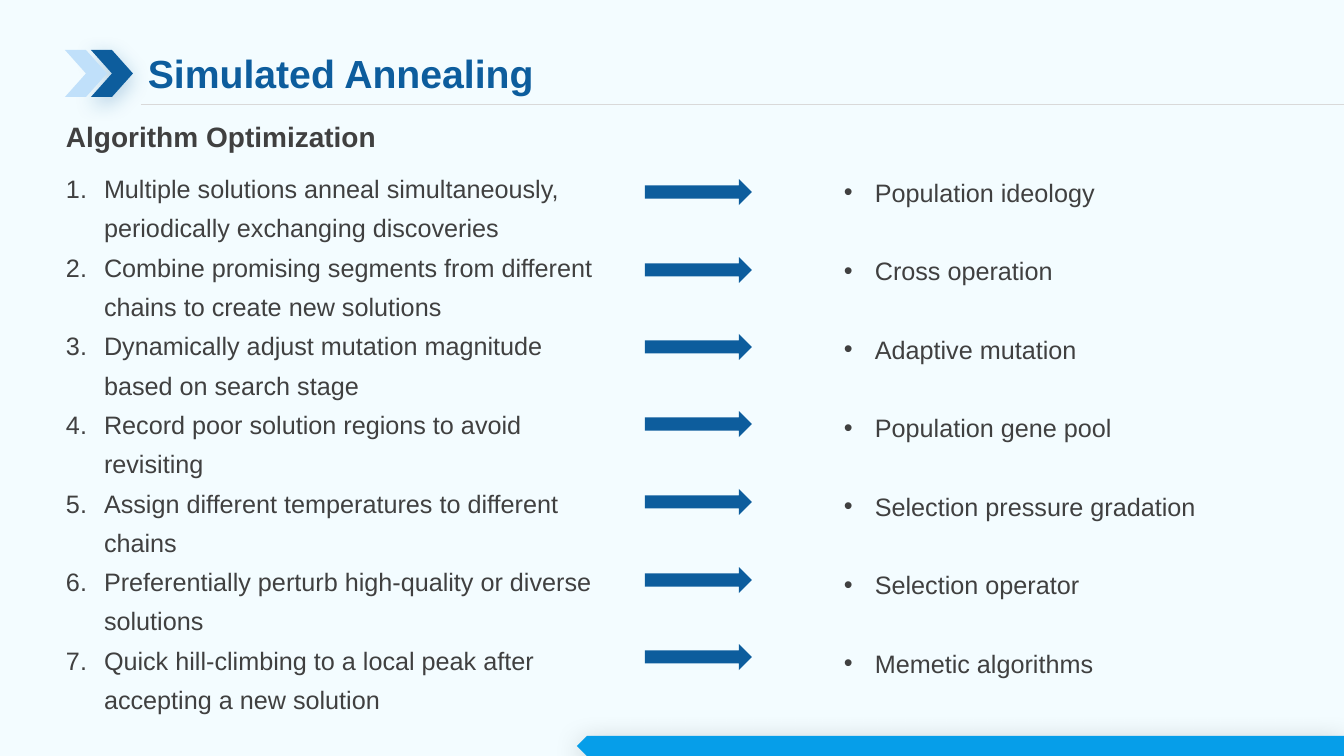
from dataclasses import dataclass

from lxml import etree
from pptx import Presentation
from pptx.dml.color import RGBColor
from pptx.enum.shapes import MSO_CONNECTOR, MSO_SHAPE
from pptx.enum.text import MSO_AUTO_SIZE
from pptx.oxml.ns import qn
from pptx.util import Pt

EMU_PER_PX = 914400 / 100.8


@dataclass(frozen=True)
class Theme:
    background: str = "F3FCFF"
    navy: str = "0D5D9D"
    pale: str = "C0E0FA"
    sky: str = "069EE9"
    rule: str = "D9D9D9"
    ink: str = "404040"
    shade: str = "000000"
    font: str = "Arial"
    title: int = 28
    heading: int = 20
    body: int = 18


THEME = Theme()

TECHNIQUES = [
    ("Multiple solutions anneal simultaneously, periodically exchanging discoveries",
     "Population ideology"),
    ("Combine promising segments from different chains to create new solutions",
     "Cross operation"),
    ("Dynamically adjust mutation magnitude based on search stage",
     "Adaptive mutation"),
    ("Record poor solution regions to avoid revisiting",
     "Population gene pool"),
    ("Assign different temperatures to different chains",
     "Selection pressure gradation"),
    ("Preferentially perturb high-quality or diverse solutions",
     "Selection operator"),
    ("Quick hill-climbing to a local peak after accepting a new solution",
     "Memetic algorithms"),
]


def px(length):
    return round(length * EMU_PER_PX)


def rgb(color):
    return RGBColor.from_string(color)


def add_shadow(shape, color, blur, distance, alpha):
    effects = shape._element.spPr.find(qn("a:effectLst"))
    shadow = etree.SubElement(effects, qn("a:outerShdw"), blurRad=str(Pt(blur)),
                              dist=str(Pt(distance)), dir="5400000",
                              algn="t", rotWithShape="0")
    tint = etree.SubElement(shadow, qn("a:srgbClr"), val=color)
    etree.SubElement(tint, qn("a:alpha"), val=str(alpha * 1000))


def add_figure(slide, kind, left, top, width, height, color, flip=False):
    figure = slide.shapes.add_shape(kind, px(left), px(top), px(width), px(height))
    figure.shadow.inherit = False
    figure.fill.solid()
    figure.fill.fore_color.rgb = rgb(color)
    figure.line.fill.background()
    if flip:
        figure._element.spPr.find(qn("a:xfrm")).set("flipH", "1")
    return figure


def add_rule(slide, left, right, top):
    rule = slide.shapes.add_connector(MSO_CONNECTOR.STRAIGHT,
                                      px(left), px(top), px(right), px(top))
    rule.line.color.rgb = rgb(THEME.rule)
    rule.line.width = Pt(0.5)
    etree.SubElement(rule._element.spPr, qn("a:effectLst"))


def add_frame(slide, left, top, width, height, wrap=True, inset=True):
    frame = slide.shapes.add_textbox(px(left), px(top), px(width), px(height)).text_frame
    frame.word_wrap = wrap
    frame.auto_size = MSO_AUTO_SIZE.SHAPE_TO_FIT_TEXT
    if not inset:
        frame.margin_left = frame.margin_right = 0
        frame.margin_top = frame.margin_bottom = 0
    return frame


def write(frame, text, size=THEME.body, color=THEME.ink, bold=False,
          spacing=None, after=0, indent=0, numbered=False):
    first = frame.paragraphs[0]
    paragraph = frame.add_paragraph() if first.runs else first
    paragraph.line_spacing = spacing
    paragraph.space_after = Pt(after)
    if indent:
        properties = paragraph._p.get_or_add_pPr()
        properties.set("marL", str(px(indent)))
        properties.set("indent", str(-px(indent)))
        if numbered:
            etree.SubElement(properties, qn("a:buFont"), typeface="+mj-lt")
            etree.SubElement(properties, qn("a:buAutoNum"), type="arabicPeriod")
        else:
            etree.SubElement(properties, qn("a:buFont"), typeface=THEME.font)
            etree.SubElement(properties, qn("a:buChar"), char="•")
    run = paragraph.add_run()
    run.text = text
    run.font.name = THEME.font
    run.font.size = Pt(size)
    run.font.bold = bold
    run.font.color.rgb = rgb(color)


def add_banner(slide):
    front = add_figure(slide, MSO_SHAPE.CHEVRON, 91, 50, 42, 47, THEME.navy)
    add_shadow(front, THEME.navy, 15, 4, 30)
    add_figure(slide, MSO_SHAPE.CHEVRON, 65, 50, 42, 47, THEME.pale)
    footer = add_figure(slide, MSO_SHAPE.PENTAGON, 577, 736, 767, 20, THEME.sky, flip=True)
    add_shadow(footer, THEME.shade, 20, 4, 20)
    add_rule(slide, 141, 1344, 104)
    title = add_frame(slide, 138, 44, 414, 57, wrap=False)
    write(title, "Simulated Annealing", size=THEME.title, color=THEME.navy, bold=True)


def add_techniques(slide):
    steps = add_frame(slide, 66, 113, 538, 604, inset=False)
    write(steps, "Algorithm Optimization", size=THEME.heading, bold=True,
          spacing=1.2, after=8)
    ideas = add_frame(slide, 834, 163, 467, 522)
    for row, (step, idea) in enumerate(TECHNIQUES):
        write(steps, step, spacing=1.3, indent=38, numbered=True)
        write(ideas, idea, spacing=1.3, after=28, indent=31)
        add_figure(slide, MSO_SHAPE.RIGHT_ARROW, 645, 179 + round(77.5 * row),
                   107, 26, THEME.navy)


def main():
    deck = Presentation()
    deck.slide_width, deck.slide_height = px(1344), px(756)
    slide = deck.slides.add_slide(deck.slide_layouts[6])
    slide.background.fill.solid()
    slide.background.fill.fore_color.rgb = rgb(THEME.background)
    add_banner(slide)
    add_techniques(slide)
    deck.save("out.pptx")


if __name__ == "__main__":
    main()
